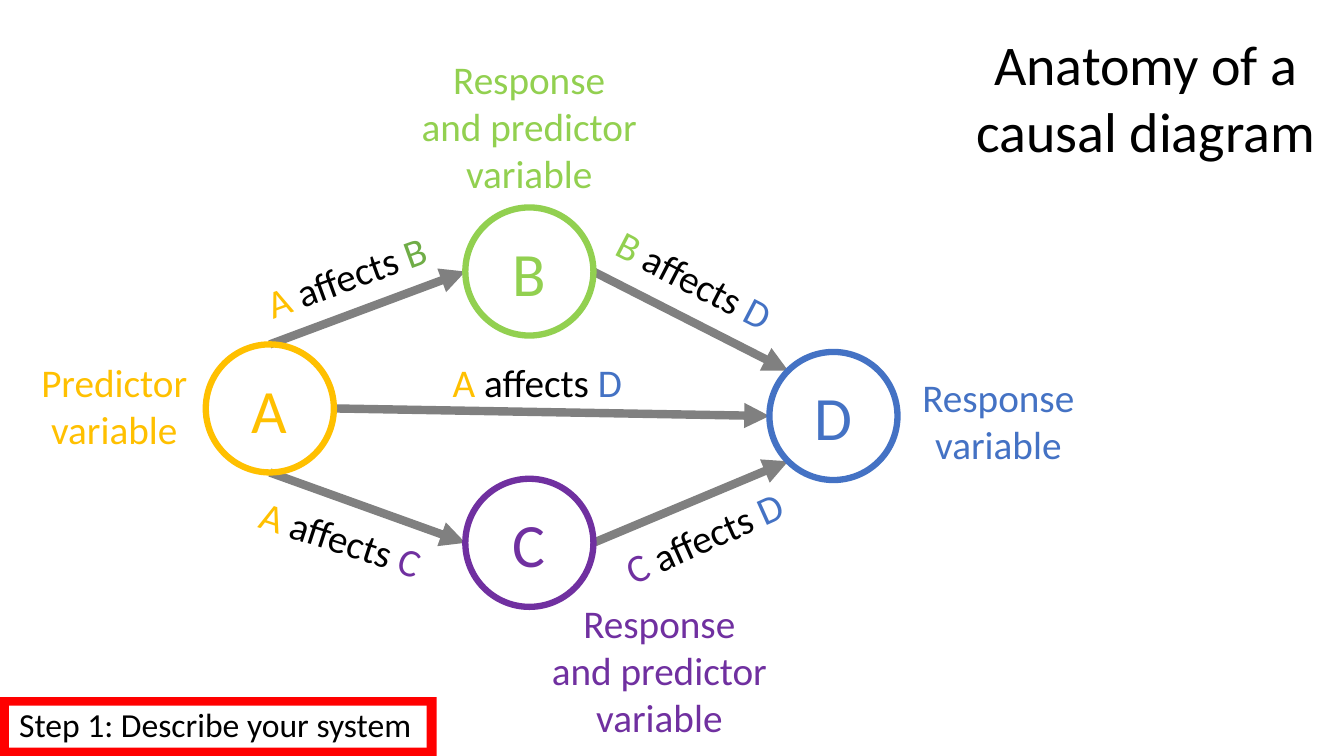
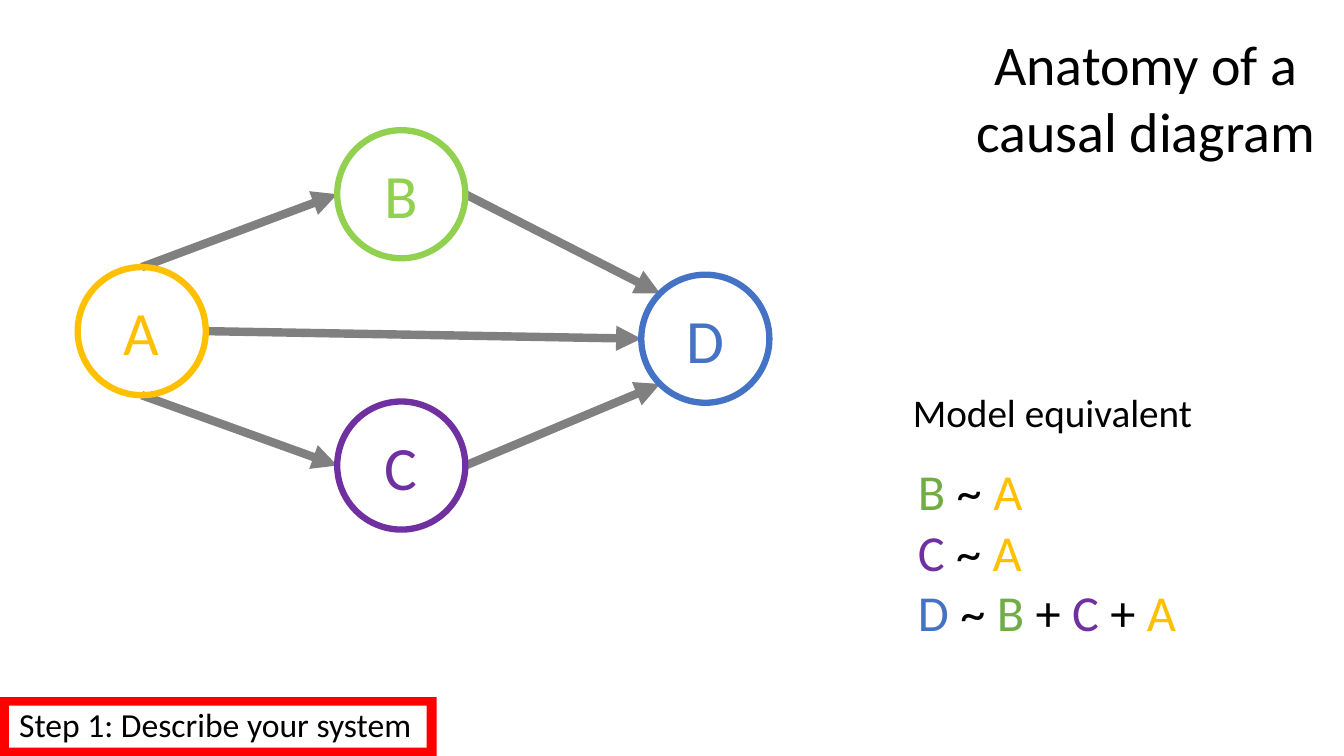
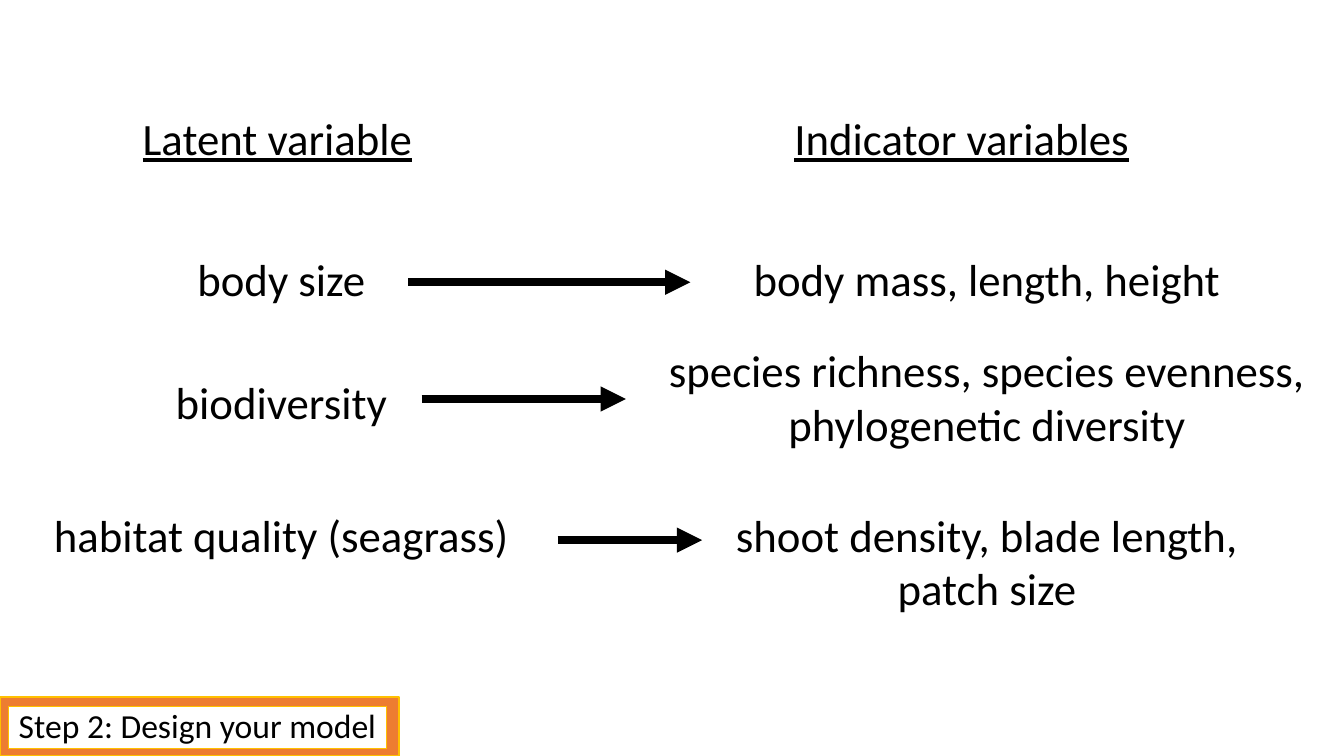
"""Build three slides on causal diagrams and latent variables."""
import itertools
import math

import lxml.etree
import pptx
import pptx.dml.color
import pptx.enum.shapes
import pptx.enum.text
import pptx.oxml.ns
import pptx.util

COLUMNS, ROWS = 160, 90
FONT = "Calibri"
COLOURS = {
    "black": "000000", "white": "FFFFFF", "grey": "808080", "red": "FF0000",
    "orange": "ED7D31", "gold": "FFC000", "lime": "92D050", "green": "70AD47",
    "purple": "7030A0", "blue": "4472C4",
}
LETTERS = {"A": "gold", "B": "green", "C": "purple", "D": "blue"}
NODE_COLOURS = {**LETTERS, "B": "lime"}
NODES = {"A": (24.5, 41), "B": (55.4, 24.7), "C": (55.4, 57), "D": (91.6, 41.9)}
NODE_SIZE = 15.25
TOP, TOP_LEFT, LEFT, BOTTOM_LEFT, BOTTOM, RIGHT = 0, 1, 2, 3, 4, 6
EDGES = [
    ("A", TOP, "B", LEFT), ("A", BOTTOM, "C", LEFT),
    ("C", RIGHT, "D", BOTTOM_LEFT), ("B", RIGHT, "D", TOP_LEFT),
    ("A", RIGHT, "D", LEFT),
]
EFFECTS = [
    ("A affects B", 30.1, 29.4, 22.6, -20, LETTERS),
    ("A affects D", 52.7, 42.1, 22.9, 0, LETTERS),
    ("B affects D", 71.5, 30, 22.9, 27.4, NODE_COLOURS),
    ("C affects D", 72.6, 60.4, 22.9, -24.1, LETTERS),
    ("A affects C", 29.5, 60.8, 22.9, 18, LETTERS),
]
ROLES = [
    (["Response", "variable"], 107.5, 43.9, 22.7, "blue"),
    (["Response", "and predictor", "variable"], 45.6, 6, 34.8, "lime"),
    (["Response", "and predictor", "variable"], 61.1, 70.7, 34.8, "purple"),
    (["Predictor", "variable"], 0.2, 42.1, 26.8, "gold"),
]
EXAMPLES = [
    ("body size", 29.4, 22.7, ["body mass, length, height"], 29.4, 58.6, (48.6, 82.2, 33.6)),
    ("biodiversity", 44, 27.8,
     ["species richness, species evenness,", "phylogenetic diversity"], 40.2, 80, (50.2, 74.5, 47.5)),
    ("habitat quality (seagrass)", 59.8, 57.2,
     ["shoot density, blade length,", "patch size"], 59.8, 64.1, (66.4, 83.6, 64.3)),
]
LATENT_CENTRE, INDICATOR_CENTRE = 33.5, 117.5


class Slides:
    """Hold the deck, its style and the current slide."""

    def __init__(self):
        self.deck = pptx.Presentation()
        self.deck.slide_width = pptx.util.Inches(13.333)
        self.deck.slide_height = pptx.util.Inches(7.5)
        self.page = None

    def across(self, columns):
        return round(self.deck.slide_width * columns / COLUMNS)

    def down(self, rows):
        return round(self.deck.slide_height * rows / ROWS)

    def area(self, left, top, width, height):
        return self.across(left), self.down(top), self.across(width), self.down(height)

    def colour(self, name):
        return pptx.dml.color.RGBColor.from_string(COLOURS[name])

    def new_page(self, title=None):
        layout = 5 if title else 6
        self.page = self.deck.slides.add_slide(self.deck.slide_layouts[layout])
        if title:
            box = self.page.shapes.title
            box.left, box.top, box.width, box.height = self.area(111.1, 2.9, 50.6, 17.4)
            self.fill_text(box, title, 40, align="CENTER", anchor="TOP")

    def fill_text(self, box, lines, size, colour="black", tints=None, align="LEFT",
                  underline=None, spacing=None, anchor="TOP", **frame_format):
        frame = box.text_frame
        frame.vertical_anchor = getattr(pptx.enum.text.MSO_ANCHOR, anchor)
        for name, value in frame_format.items():
            setattr(frame, name, value)
        font_format = {"name": FONT, "size": pptx.util.Pt(size), "underline": underline}
        for index, line in enumerate(lines):
            para = frame.add_paragraph() if index else frame.paragraphs[0]
            para.alignment = getattr(pptx.enum.text.PP_ALIGN, align)
            para.line_spacing = spacing
            for tint, letters in itertools.groupby(
                    line, key=lambda letter: (tints or {}).get(letter, colour)):
                span = para.add_run()
                span.text = "".join(letters)
                for name, value in font_format.items():
                    setattr(span.font, name, value)
                span.font.color.rgb = self.colour(tint)

    def text(self, lines, left, top, width, size, rotation=0, **style):
        height = len(lines) * size * 0.2 + 1.2
        box = self.page.shapes.add_textbox(*self.area(left, top, width, height))
        box.rotation = rotation
        self.fill_text(box, lines, size, word_wrap=False,
                       auto_size=pptx.enum.text.MSO_AUTO_SIZE.SHAPE_TO_FIT_TEXT, **style)

    def shape(self, kind, area, fill=None, line=None, weight=1):
        preset = getattr(pptx.enum.shapes.MSO_SHAPE, kind)
        shape = self.page.shapes.add_shape(preset, *self.area(*area))
        shape.shadow.inherit = False
        for part, name in ((shape.fill, fill), (shape.line.fill, line)):
            if name:
                part.solid()
                part.fore_color.rgb = self.colour(name)
            else:
                part.background()
        if line:
            shape.line.width = pptx.util.Pt(weight)
        return shape

    def step(self, label, top, width, fill, inner, line=None, align="LEFT"):
        self.shape("RECTANGLE", (0, top, width, 7), fill, line)
        panel = self.shape("RECTANGLE", inner, "white", line, 0.75)
        self.fill_text(panel, [label], 24, align=align, spacing=0.9, anchor="MIDDLE")

    def arrow(self, start, end, colour):
        ends = [self.across(start[0]), self.down(start[1]), self.across(end[0]), self.down(end[1])]
        arrow = self.page.shapes.add_connector(pptx.enum.shapes.MSO_CONNECTOR.STRAIGHT, *ends)
        arrow.line.width = pptx.util.Pt(6)
        arrow.line.color.rgb = self.colour(colour)
        qn = pptx.oxml.ns.qn
        properties = arrow.element.spPr
        lxml.etree.SubElement(properties.find(qn("a:ln")), qn("a:tailEnd"), type="triangle")
        lxml.etree.SubElement(properties, qn("a:effectLst"))
        return arrow

    def edge(self, nodes, corners, source, source_site, target, target_site):
        points = []
        for name, site in ((source, source_site), (target, target_site)):
            angle = math.radians(45 * site)
            left, top = corners[name]
            points.append((left + NODE_SIZE / 2 * (1 - math.sin(angle)),
                           top + NODE_SIZE / 2 * (1 - math.cos(angle))))
        arrow = self.arrow(*points, "grey")
        qn = pptx.oxml.ns.qn
        links = arrow.element.nvCxnSpPr.cNvCxnSpPr
        for tag, name, site in (("a:stCxn", source, source_site), ("a:endCxn", target, target_site)):
            lxml.etree.SubElement(links, qn(tag), id=str(nodes[name].shape_id), idx=str(site))
        arrow.element.getparent().insert(2, arrow.element)

    def causal_diagram(self, shift=(0, 0)):
        self.new_page(["Anatomy of a", "causal diagram"])
        self.step("Step 1: Describe your system", 83, 52, "red", (1.1, 84, 49.7, 5))
        corners = {name: (left + shift[0], top + shift[1]) for name, (left, top) in NODES.items()}
        nodes = {}
        for name, corner in corners.items():
            colour = NODE_COLOURS[name]
            nodes[name] = self.shape("OVAL", (*corner, NODE_SIZE, NODE_SIZE), None, colour, 4.5)
            self.fill_text(nodes[name], [name], 44, colour, align="CENTER", anchor="MIDDLE",
                           word_wrap=False, margin_left=0, margin_right=0,
                           margin_top=0, margin_bottom=0)
        for edge in EDGES:
            self.edge(nodes, corners, *edge)


def main():
    slides = Slides()

    slides.causal_diagram()
    for label, left, top, width, rotation, tints in EFFECTS:
        slides.text([label], left, top, width, 28, rotation, tints=tints)
    for lines, left, top, width, colour in ROLES:
        slides.text(lines, left, top, width, 28, colour=colour, align="CENTER")

    slides.causal_diagram(shift=(-15.25, -9.2))
    slides.text(["B ~ A", "C ~ A", "D ~ B + C + A"], 108.1, 54.2, 34.8, 36, tints=LETTERS)
    slides.text(["Model equivalent"], 107.5, 45.6, 36, 28)

    slides.new_page()
    slides.step("Step 2: Design your model", 83, 47.5, "orange", (1, 84.1, 45, 5), "gold", "CENTER")
    slides.text(["Latent variable"], 15.8, 12.6, 34.9, 32, underline=True)
    slides.text(["Indicator variables"], 93.4, 12.6, 42.7, 32, underline=True)
    for latent, top, width, indicators, indicator_top, indicator_width, (start, end, level) in EXAMPLES:
        slides.text([latent], LATENT_CENTRE - width / 2, top, width, 32, align="CENTER")
        slides.text(indicators, INDICATOR_CENTRE - indicator_width / 2, indicator_top,
                    indicator_width, 32, align="CENTER")
        slides.arrow((start, level), (end, level), "black")

    slides.deck.save("out.pptx")


if __name__ == "__main__":
    main()
